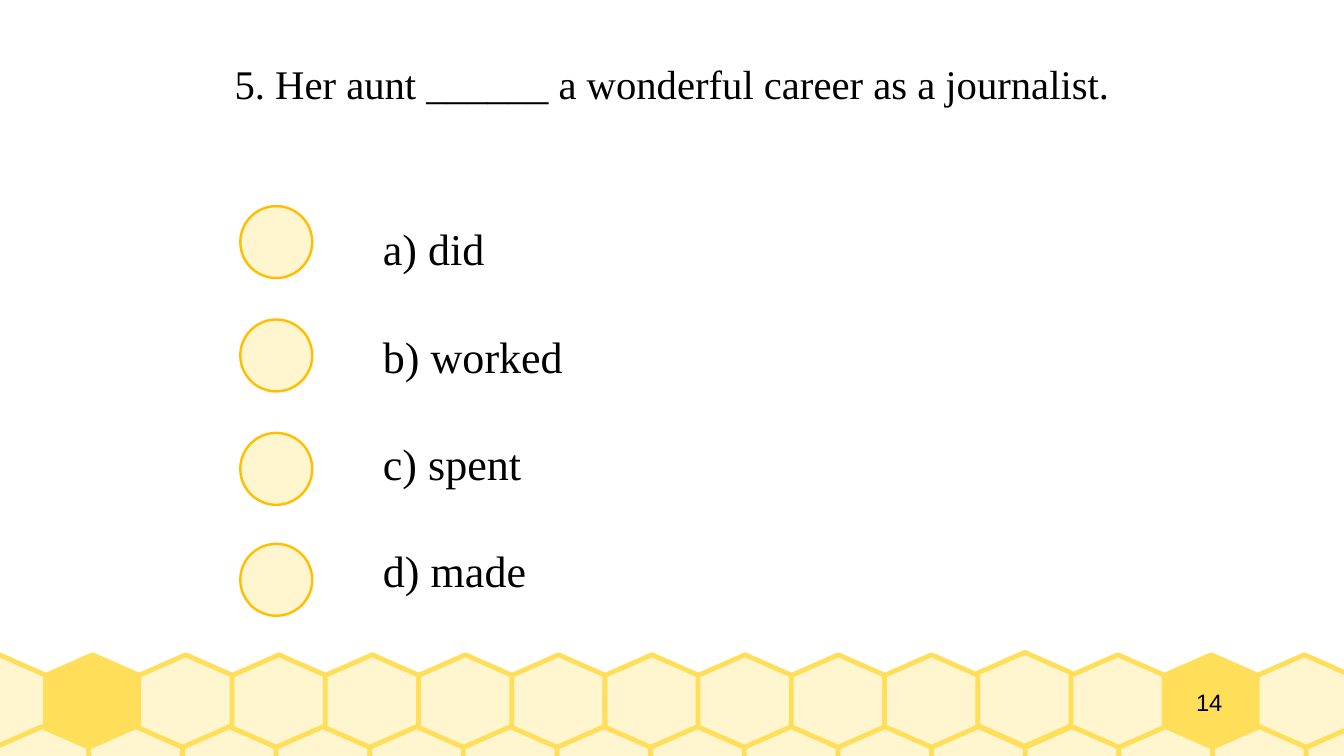
from dataclasses import dataclass

from pptx import Presentation
from pptx.dml.color import RGBColor
from pptx.enum.shapes import MSO_SHAPE as Preset
from pptx.enum.text import MSO_ANCHOR as Anchor, PP_ALIGN as Align
from pptx.shapes.autoshape import Shape
from pptx.slide import Slide
from pptx.util import Inches, Pt

CREAM = RGBColor(0xFF, 0xF5, 0xCE)
HONEY = RGBColor(0xFF, 0xDE, 0x59)
AMBER = RGBColor(0xFF, 0xBF, 0x00)
BLACK = RGBColor(0x00, 0x00, 0x00)

SERIF = "Times New Roman"
CELL_SIZE = 0.77
CELL_OUTLINE = ((0.5, 0), (0, 0.22), (0, 0.78), (0.5, 1), (1, 0.78), (1, 0.22))
CELLS_PER_ROW = 15
BULLET_SIZE = 0.59


@dataclass(frozen=True)
class CombRow:
    first_left: float
    last_left: float
    top: float
    solid: tuple[int, ...] = ()
    raised: tuple[int, ...] = ()


@dataclass(frozen=True)
class TextBlock:
    left: float
    top: float
    width: float
    height: float
    lines: tuple[str, ...]
    font: str
    size: float
    align: Align = Align.CENTER
    anchor: Anchor = Anchor.MIDDLE
    inset_top: float = 0
    gap: float = 0


COMB_ROWS = (
    CombRow(-0.39, 10.31, 5.37, solid=(1, 13), raised=(11,)),
    CombRow(-0.04, 10.71, 5.96),
)
PAGE_NUMBER = TextBlock(9.29, 5.37, 1.25, 0.77, ("14",), "Arial", 14)
QUESTION = TextBlock(
    0.59, 0.18, 9.84, 1.01,
    ("5. Her aunt ______ a wonderful career as a journalist.",), SERIF, 24,
)
ANSWERS = TextBlock(
    3.14, 1.77, 7.48, 3.15,
    ("a) did", "b) worked", "c) spent", "d) made"), SERIF, 26,
    Align.LEFT, Anchor.TOP, inset_top=0.05, gap=32.2,
)
BULLET_LEFT = 1.97
BULLET_TOPS = (1.69, 2.62, 3.55, 4.46)


def paint(shape: Shape, fill: RGBColor, line: RGBColor, weight: float) -> None:
    shape.shadow.inherit = False
    shape.fill.solid()
    shape.fill.fore_color.rgb = fill
    shape.line.color.rgb = line
    shape.line.width = Pt(weight)


def draw_cell(page: Slide, left: float, top: float, fill: RGBColor) -> None:
    corners = [
        (Inches(left + x * CELL_SIZE), Inches(top + y * CELL_SIZE))
        for x, y in CELL_OUTLINE
    ]
    builder = page.shapes.build_freeform(*corners[0])
    builder.add_line_segments(corners[1:], close=True)
    paint(builder.convert_to_shape(), fill, HONEY, 2.83)


def draw_comb_row(page: Slide, row: CombRow) -> None:
    pitch = (row.last_left - row.first_left) / (CELLS_PER_ROW - 1)
    for index in range(CELLS_PER_ROW):
        top = row.top - 0.02 if index in row.raised else row.top
        fill = HONEY if index in row.solid else CREAM
        draw_cell(page, row.first_left + index * pitch, top, fill)


def draw_text(page: Slide, block: TextBlock) -> None:
    box = page.shapes.add_textbox(
        Inches(block.left), Inches(block.top),
        Inches(block.width), Inches(block.height),
    )
    frame = box.text_frame
    frame.word_wrap = True
    frame.vertical_anchor = block.anchor
    frame.margin_left = frame.margin_right = frame.margin_bottom = 0
    frame.margin_top = Inches(block.inset_top)
    for index, line in enumerate(block.lines):
        para = frame.add_paragraph() if index else frame.paragraphs[0]
        para.alignment = block.align
        para.space_after = Pt(block.gap)
        span = para.add_run()
        span.text = line
        span.font.name = block.font
        span.font.size = Pt(block.size)
        span.font.color.rgb = BLACK


def draw_bullet(page: Slide, top: float) -> None:
    bullet = page.shapes.add_shape(
        Preset.OVAL, Inches(BULLET_LEFT), Inches(top),
        Inches(BULLET_SIZE), Inches(BULLET_SIZE),
    )
    paint(bullet, CREAM, AMBER, 1.42)


def main() -> None:
    deck = Presentation()
    deck.slide_width = Inches(11.02)
    deck.slide_height = Inches(6.2)
    page = deck.slides.add_slide(deck.slide_layouts[6])
    for row in COMB_ROWS:
        draw_comb_row(page, row)
    for block in (PAGE_NUMBER, QUESTION, ANSWERS):
        draw_text(page, block)
    for top in BULLET_TOPS:
        draw_bullet(page, top)
    deck.save("out.pptx")


if __name__ == "__main__":
    main()
